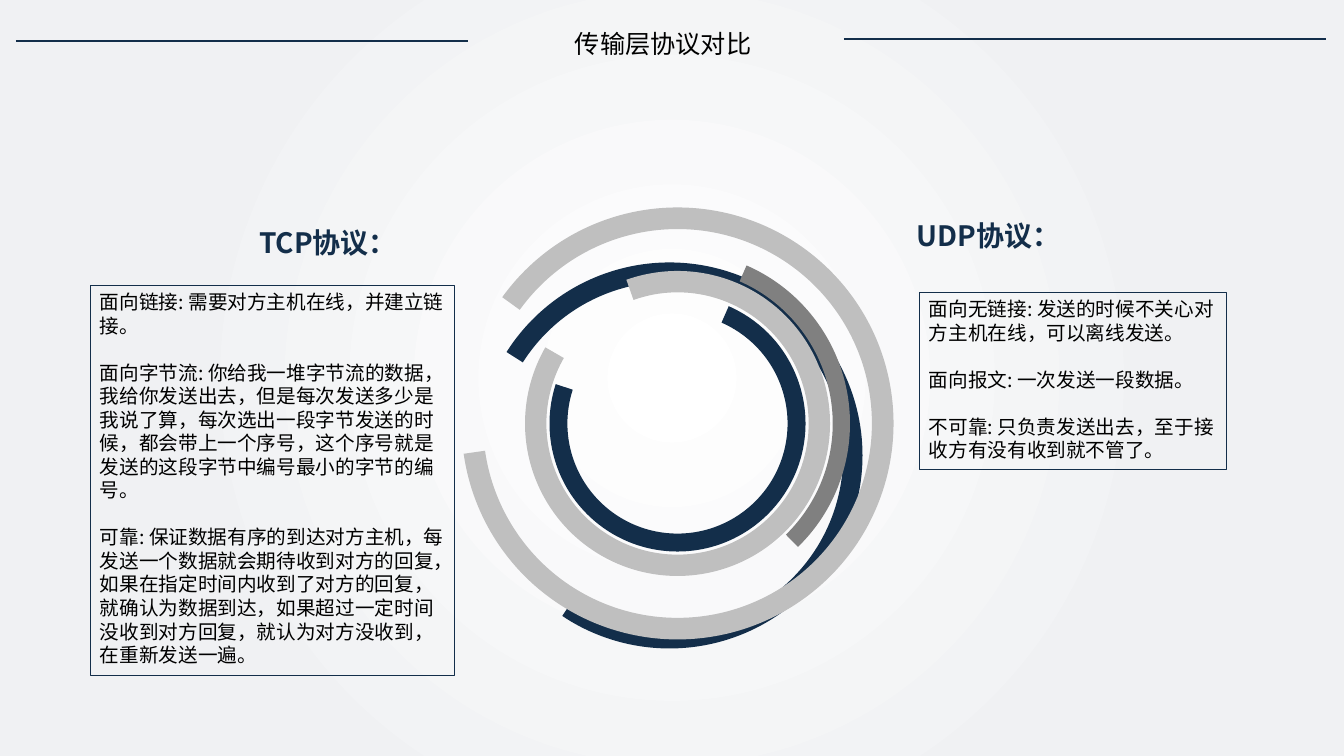
import pptx
import pptx.util
import pptx.dml.color
import pptx.enum.shapes
import pptx.enum.text
import pptx.oxml.ns
import lxml.etree

FONT = "Noto Sans CJK SC"
NAVY, SILVER, GRAY, BLACK = "132E4A", "BFBFBF", "808080", "000000"
SHAPE = pptx.enum.shapes.MSO_SHAPE
ALIGN = pptx.enum.text.PP_ALIGN
qn = pptx.oxml.ns.qn


def px(length):
    return pptx.util.Emu(round(length * 914400 / 100.8))


def rgb(value):
    return pptx.dml.color.RGBColor.from_string(value)


def paint_background(slide):
    fill = slide.background.fill
    fill.gradient()
    for stop, color, position in zip(fill.gradient_stops, ("FFFFFF", "F0F1F3"), (0, 0.67)):
        stop.color.rgb = rgb(color)
        stop.position = position
    gradient = slide.element.find(".//" + qn("a:gradFill"))
    circle = lxml.etree.Element(qn("a:path"), path="circle")
    lxml.etree.SubElement(circle, qn("a:fillToRect"), l="50000", t="50000", r="50000", b="50000")
    gradient.replace(gradient.find(qn("a:lin")), circle)


def write(frame, paragraphs, size, color=BLACK, bold=False, align=ALIGN.LEFT, wrap=True):
    frame.word_wrap = wrap
    frame.vertical_anchor = pptx.enum.text.MSO_ANCHOR.TOP
    line_height = pptx.util.Pt(size * 1.2)
    for index, text in enumerate(paragraphs):
        paragraph = frame.add_paragraph() if index else frame.paragraphs[0]
        paragraph.text = text
        paragraph.alignment = align
        paragraph.line_spacing = line_height
        if index < len(paragraphs) - 1:
            paragraph.space_after = line_height
        font = paragraph.font
        font.name, font.size, font.bold = FONT, pptx.util.Pt(size), bold
        font.color.rgb = rgb(color)
        for run in paragraph.runs:
            properties = run.font._element if hasattr(run.font, "_element") else run._r.get_or_add_rPr()
            lxml.etree.SubElement(properties, qn("a:ea"), typeface=FONT)


def add_rule(slide, left, right, top):
    rule = slide.shapes.add_connector(
        pptx.enum.shapes.MSO_CONNECTOR.STRAIGHT, px(left), px(top), px(right), px(top))
    rule.line.color.rgb = rgb(NAVY)
    rule.line.width = pptx.util.Pt(1)
    lxml.etree.SubElement(rule.element.spPr, qn("a:effectLst"))


def add_header(slide, left, top, width, height):
    add_rule(slide, left, left + 452, top + 18)
    add_rule(slide, left + width - 482, left + width, top + 16)
    title = slide.shapes.add_textbox(px(left + 549), px(top), px(199), px(height))
    write(title.text_frame, ["传输层协议对比"], 18, wrap=False)


def add_rings(slide, left, top, size):
    middle_x, middle_y = left + size / 2, top + size / 2
    rings = [
        (-8, 32, 386, 60, 152.4, 63.76, 0.05, NAVY),
        (0, 0, 432, 82.5, 133.26, 89.43, 0.05, SILVER),
        (0, 0, 345, 197.6, 96, 208.1, 0.05, GRAY),
        (0, 0, 305, 148.4, 102, 61.53, 0.07, SILVER),
        (0, 0, 256, 135, 158.59, 62.91, 0.07, NAVY),
    ]
    for shift_x, shift_y, diameter, rotation, start, end, thickness, color in rings:
        ring = slide.shapes.add_shape(
            SHAPE.BLOCK_ARC, px(middle_x + shift_x - diameter / 2),
            px(middle_y + shift_y - diameter / 2), px(diameter), px(diameter))
        ring.rotation = rotation
        ring.adjustments[0] = start * 0.6
        ring.adjustments[1] = end * 0.6
        ring.adjustments[2] = thickness
        ring.fill.solid()
        ring.fill.fore_color.rgb = rgb(color)
        ring.line.fill.background()
        ring.shadow.inherit = False


def add_protocol(slide, heading, features, heading_box, feature_box, align):
    caption = slide.shapes.add_textbox(*map(px, heading_box))
    write(caption.text_frame, [heading], 20, NAVY, True, align)
    panel = slide.shapes.add_shape(SHAPE.RECTANGLE, *map(px, feature_box))
    panel.fill.background()
    panel.line.color.rgb = rgb(NAVY)
    panel.line.width = pptx.util.Pt(0.5)
    panel.shadow.inherit = False
    write(panel.text_frame, features, 14)


TCP_FEATURES = [
    "面向链接: 需要对方主机在线，并建立链接。",
    "面向字节流: 你给我一堆字节流的数据，我给你发送出去，但是每次发送多少是我说了算，"
    "每次选出一段字节发送的时候，都会带上一个序号，这个序号就是发送的这段字节中编号最小的字节的编号。",
    "可靠: 保证数据有序的到达对方主机，每发送一个数据就会期待收到对方的回复，"
    "如果在指定时间内收到了对方的回复，就确认为数据到达，"
    "如果超过一定时间没收到对方回复，就认为对方没收到，在重新发送一遍。",
]
UDP_FEATURES = [
    "面向无链接: 发送的时候不关心对方主机在线，可以离线发送。",
    "面向报文: 一次发送一段数据。",
    "不可靠: 只负责发送出去，至于接收方有没有收到就不管了。",
]

deck = pptx.Presentation()
deck.slide_width, deck.slide_height = px(1344), px(756)
comparison = deck.slides.add_slide(deck.slide_layouts[6])
paint_background(comparison)
add_rings(comparison, 462, 208, 431)
add_protocol(comparison, "UDP协议：", UDP_FEATURES,
             (907, 214, 320, 44), (919, 292, 307, 177), ALIGN.LEFT)
add_protocol(comparison, "TCP协议：", TCP_FEATURES,
             (87, 221, 320, 44), (90, 285, 364, 390), ALIGN.RIGHT)
add_header(comparison, 16, 23, 1310, 40)
deck.save("out.pptx")
